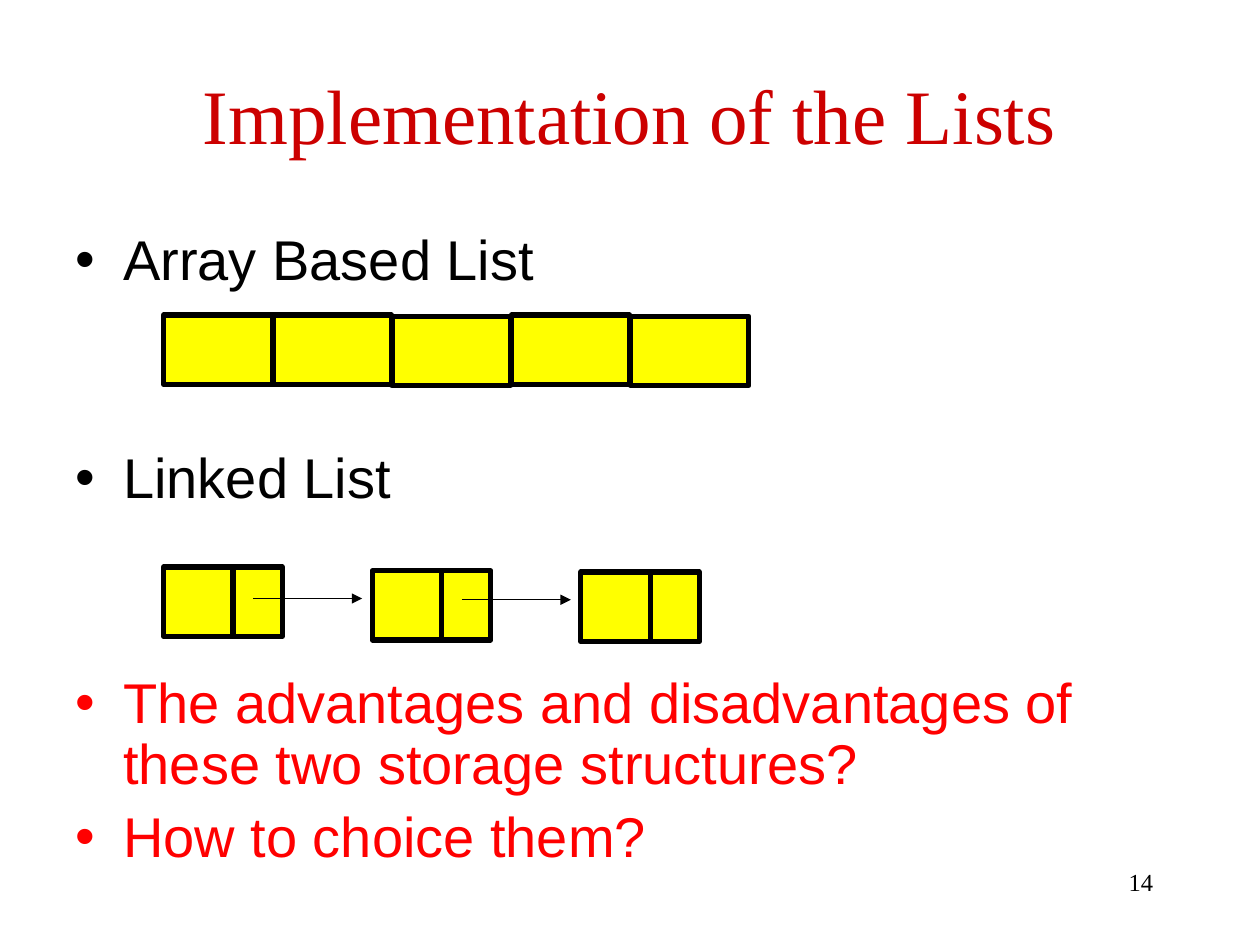
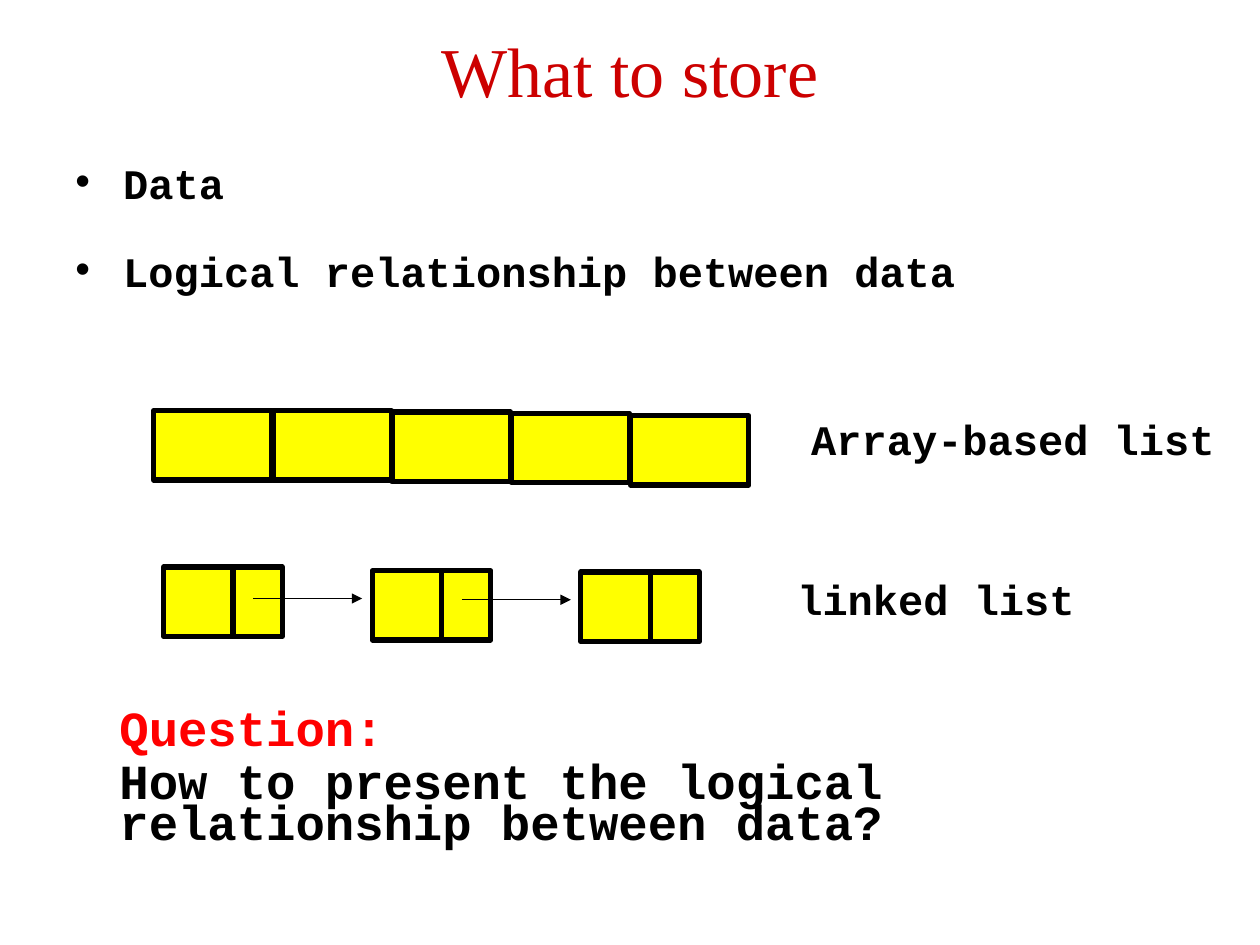
from lxml import etree
from pptx import Presentation, util as u
from pptx.dml.color import RGBColor
from pptx.enum import shapes, text
from pptx.oxml.ns import qn

BLACK = RGBColor(0, 0, 0)
RED = RGBColor(0xFF, 0, 0)
TITLE_RED = RGBColor(0xCC, 0, 0)
YELLOW = RGBColor(0xFF, 0xFF, 0)
SERIF, SANS, MONO = "Times New Roman", "Arial", "Courier New"

# Grid of 100 columns by 75 rows
WIDTH, HEIGHT = u.Inches(10), u.Inches(7.5)
COL, ROW = WIDTH / 100, HEIGHT / 75
CELL_W, CELL_H = 9.4, 5.5
CELL_PITCH, NODE_PITCH = 9.46, 16.55
HANG = u.Inches(0.38)


def place(left, top, width, height):
    return [round(v) for v in (left * COL, top * ROW, width * COL, height * ROW)]


def write(tf, lines, *, font, size, color=BLACK, bold=False, bullet=False,
          spacing=1.0, gap=0, align=text.PP_ALIGN.LEFT, lead=0.0):
    """Fill a frame; each line is a string or a (string, colour) pair."""
    tf.word_wrap = True
    tf.margin_top = u.Inches(0.05 + lead)
    for i, line in enumerate(lines):
        words, tint = line if isinstance(line, tuple) else (line, color)
        p = tf.paragraphs[0] if i == 0 else tf.add_paragraph()
        p.alignment, p.line_spacing = align, spacing
        p.space_before = u.Pt(gap if i else 0)
        if bullet:
            pPr = p._p.get_or_add_pPr()
            pPr.set("marL", str(HANG))
            pPr.set("indent", str(-HANG))
            etree.SubElement(pPr, qn("a:buFont")).set("typeface", SANS)
            etree.SubElement(pPr, qn("a:buChar")).set("char", "•")
        r = p.add_run()
        r.text = words
        r.font.name, r.font.size, r.font.bold = font, u.Pt(size), bold
        r.font.color.rgb = tint


def add_text(s, box, lines, **fmt):
    write(s.shapes.add_textbox(*place(*box)).text_frame, lines, **fmt)


def add_title_slide(prs, title, top, size):
    s = prs.slides.add_slide(prs.slide_layouts[5])
    sp = s.shapes.title
    sp.left, sp.top, sp.width, sp.height = place(5, top, 90, 10)
    sp.text_frame.vertical_anchor = text.MSO_ANCHOR.MIDDLE
    write(sp.text_frame, [title], font=SERIF, size=size, color=TITLE_RED,
          align=text.PP_ALIGN.CENTER)
    return s


def add_cell(s, left, top):
    sp = s.shapes.add_shape(shapes.MSO_SHAPE.RECTANGLE, *place(left, top, CELL_W, CELL_H))
    sp.shadow.inherit = False
    sp.fill.solid()
    sp.fill.fore_color.rgb = YELLOW
    sp.line.color.rgb = BLACK
    sp.line.width = u.Pt(3)


def add_line(s, x1, y1, x2, y2, width, arrow=False):
    ends = place(x1, y1, x2, y2)
    sp = s.shapes.add_connector(shapes.MSO_CONNECTOR.STRAIGHT, *ends)
    sp.line.color.rgb = BLACK
    sp.line.width = u.Pt(width)
    if arrow:
        etree.SubElement(sp.line._get_or_add_ln(), qn("a:tailEnd")).set("type", "triangle")
    etree.SubElement(sp._element.spPr, qn("a:effectLst"))


def add_array(s, left, top, drops, first_shift=0):
    """Row of touching cells, each lowered by its drop."""
    for i, drop in enumerate(drops):
        shift = first_shift if i == 0 else 0
        add_cell(s, left + i * CELL_PITCH + shift, top + drop)


def add_linked_list(s, left, top):
    """Three nodes split into data and pointer, joined by arrows."""
    lefts = [left + i * NODE_PITCH for i in range(3)]
    for x, drop in zip(lefts, (0, 0.3, 0.4)):
        add_cell(s, x, top + drop)
    for x, drop in zip(lefts, (2.5, 2.6)):
        add_line(s, x + 7.1, top + drop, x + 15.75, top + drop, 0.75, arrow=True)
    for x, drop in zip(lefts, (0.2, 0.2, 0.4)):
        add_line(s, x + 5.5, top + drop, x + 5.5, top + drop + CELL_H, 3)


def build_implementation(prs):
    s = add_title_slide(prs, "Implementation of the Lists", top=4, size=44)
    bullets = dict(font=SANS, size=32, bullet=True, spacing=0.9, lead=0.04)
    add_text(s, (5, 17.5, 90, 35.2), ["Array Based List", "Linked List"], gap=90, **bullets)
    add_array(s, 12.2, 25, (0, 0, 0.1, 0, 0.1), first_shift=0.8)
    add_linked_list(s, 13, 45)
    # Slide number
    add_text(s, (71.7, 68.3, 20.8, 5), ["14"], font=SERIF, size=14,
             align=text.PP_ALIGN.RIGHT)
    # Questions
    add_text(s, (5, 52.7, 90, 12.6),
             ["The advantages and disadvantages of these two storage structures?",
              "How to choice them?"], color=RED, gap=7.4, **bullets)


def build_what_to_store(prs):
    s = add_title_slide(prs, "What to store", top=0.5, size=40)
    mono = dict(font=MONO, bold=True, spacing=0.7, lead=0.07)
    add_text(s, (5, 12.4, 83, 13.8), ["Data", "Logical relationship between data"],
             size=24, bullet=True, gap=30, **mono)
    add_array(s, 12.2, 32.6, (0, 0, 0.1, 0.2, 0.4))
    add_linked_list(s, 13, 45)
    # Labels beside the diagrams
    for left, top, label in ((63.4, 32.7, "Array-based list"), (62.3, 45.4, "linked list")):
        add_text(s, (left, top, 36.6, 10.7), [label], size=24, **mono)
    # Question
    add_text(s, (8.5, 55.4, 88.4, 13.8),
             [("Question:", RED), "How to present the logical relationship between data?"],
             size=28, gap=7, **mono)


def main():
    prs = Presentation()
    prs.slide_width, prs.slide_height = WIDTH, HEIGHT
    build_implementation(prs)
    build_what_to_store(prs)
    prs.save("out.pptx")


if __name__ == "__main__":
    main()
